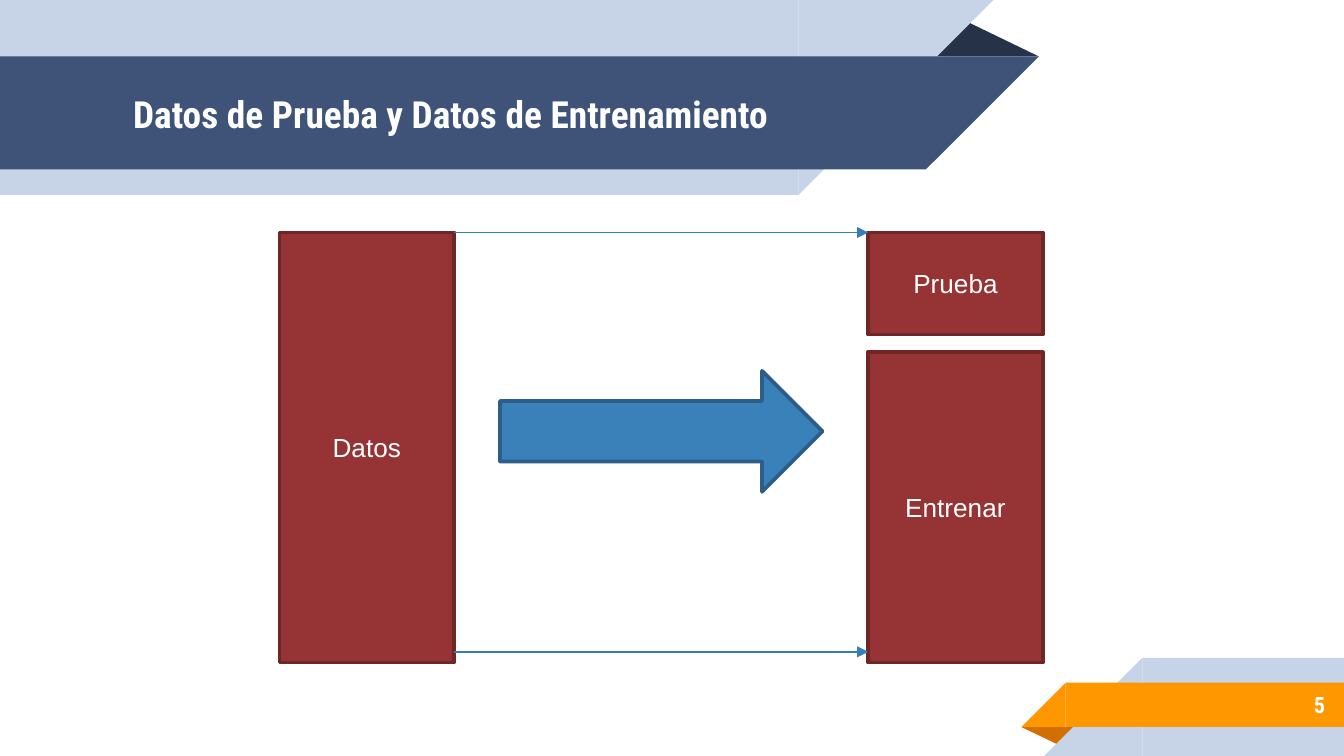
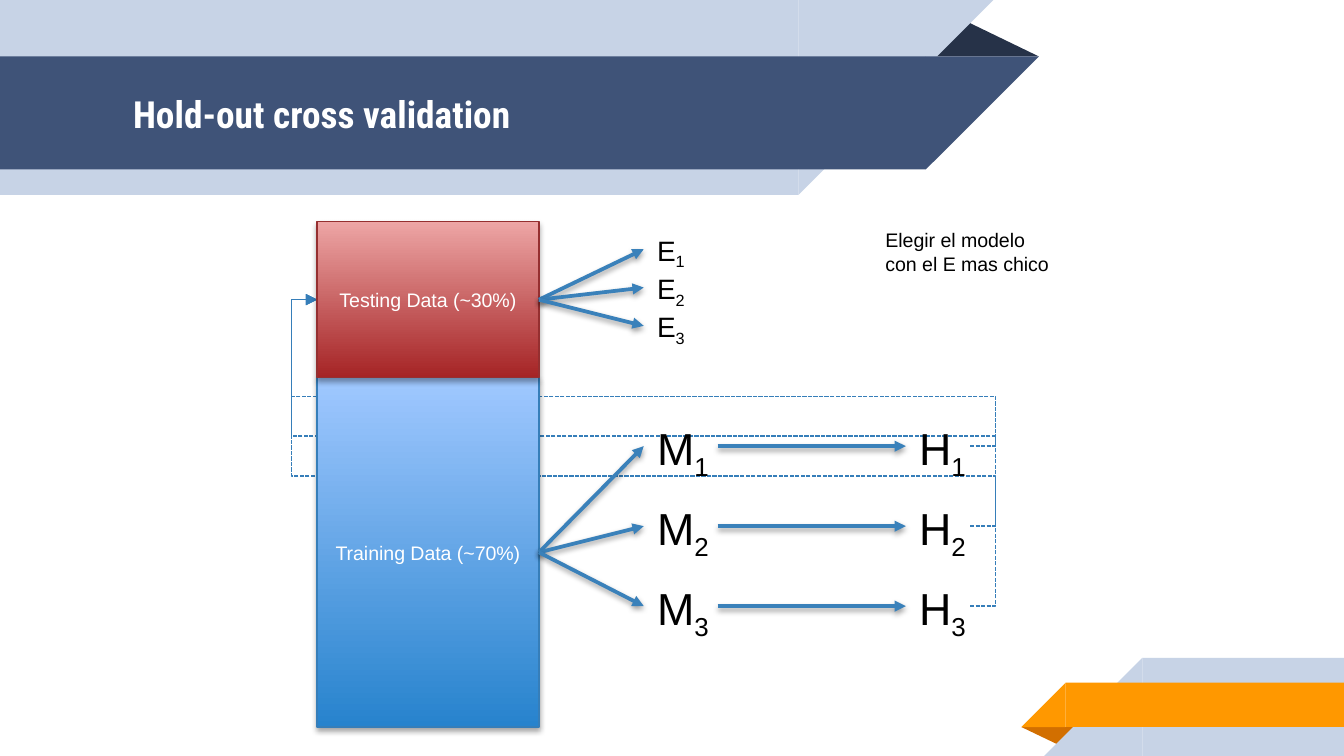
from lxml.etree import SubElement
from pptx import Presentation
from pptx.dml.color import RGBColor
from pptx.enum.dml import MSO_LINE
from pptx.enum.shapes import MSO_CONNECTOR, MSO_SHAPE
from pptx.enum.text import MSO_ANCHOR, MSO_AUTO_SIZE, PP_ALIGN
from pptx.oxml.ns import qn
from pptx.util import Inches, Pt

COLUMNS, ROWS = 100, 56.25
BODY_FONT, TITLE_FONT = "Arial", "Roboto Condensed"
WHITE, BLACK = "FFFFFF", "000000"
PALE, NAVY, DARK_NAVY = "C7D3E6", "3F5378", "263248"
ORANGE, DARK_ORANGE = "FF9800", "D26F00"
RED, DARK_RED = "963334", "6F2626"
BLUE, THIN_BLUE, DARK_BLUE = "3A81BA", "367EB9", "2B5F8A"
LEFT_SIDE, RIGHT_SIDE = 1, 3


def color(value):
    return RGBColor.from_string(value)


class Deck:
    def __init__(self):
        self.presentation = Presentation()
        self.presentation.slide_width = Inches(10)
        self.presentation.slide_height = Inches(10) * 9 // 16
        self.layout = self.presentation.slide_layouts[5]
        self.slide = None

    def x(self, columns):
        return round(self.presentation.slide_width * columns / COLUMNS)

    def y(self, rows):
        return round(self.presentation.slide_height * rows / ROWS)

    def box(self, left, top, width, height):
        return self.x(left), self.y(top), self.x(width), self.y(height)

    def style_text(self, shape, size, ink, align=PP_ALIGN.LEFT, font=BODY_FONT, bold=False):
        for paragraph in shape.text_frame.paragraphs:
            paragraph.alignment = align
            paragraph.font.name = font
            paragraph.font.size = Pt(size)
            paragraph.font.bold = bold
            paragraph.font.color.rgb = color(ink)

    def add_slide(self, title):
        self.slide = self.presentation.slides.add_slide(self.layout)
        placeholder = self.slide.shapes.title
        placeholder.left, placeholder.top, placeholder.width, placeholder.height = self.box(8.9, 4.25, 60.1, 8.4)
        placeholder.text = title
        self.style_banner_text(placeholder, 20, PP_ALIGN.LEFT)

    def style_banner_text(self, shape, size, align):
        frame = shape.text_frame
        frame.margin_left = frame.margin_right = frame.margin_top = frame.margin_bottom = Inches(0.1)
        frame.vertical_anchor = MSO_ANCHOR.MIDDLE
        frame.auto_size = MSO_AUTO_SIZE.NONE
        frame.word_wrap = True
        self.style_text(shape, size, WHITE, align, TITLE_FONT, True)

    def page_number(self, number):
        shape = self.slide.shapes.add_textbox(*self.box(83.3, 50.7, 16.3, 3.5))
        shape.text_frame.text = number
        self.style_banner_text(shape, 12, PP_ALIGN.RIGHT)

    def shape(self, kind, area, fill, line=None, line_width=2, text="", size=14):
        shape = self.slide.shapes.add_shape(kind, *self.box(*area))
        if isinstance(fill, str):
            shape.fill.solid()
            shape.fill.fore_color.rgb = color(fill)
        else:
            shape.fill.gradient()
            shape.fill.gradient_angle = 90
            for stop, value in zip(shape.fill.gradient_stops, fill):
                stop.color.rgb = color(value)
        if line:
            shape.line.color.rgb = color(line)
            shape.line.width = Pt(line_width)
        else:
            shape.line.fill.background()
        shape.shadow.inherit = False
        if text:
            shape.text_frame.text = text
            shape.text_frame.vertical_anchor = MSO_ANCHOR.MIDDLE
            self.style_text(shape, size, WHITE, PP_ALIGN.CENTER)
        return shape

    def layout_band(self, kind, area, fill, rotation=0, flip=False, peak=None):
        shape = self.shape(kind, area, fill)
        shape.rotation = rotation
        if flip:
            shape.element.spPr.xfrm.set("flipH", "1")
        if peak:
            shape.adjustments[0] = peak
        self.layout.shapes.element.append(shape.element)

    def layout_bands(self):
        rectangle, corner, fold = MSO_SHAPE.RECTANGLE, MSO_SHAPE.RIGHT_TRIANGLE, MSO_SHAPE.ISOSCELES_TRIANGLE
        self.layout_band(fold, (68.8, 1.4, 8.5, 2.8), DARK_NAVY, peak=0.32)
        for top, length, height, fill in ((0, 59.4, 14.5, PALE), (4.2, 68.9, 8.4, NAVY)):
            self.layout_band(rectangle, (0, top, length, height), fill)
            self.layout_band(corner, (length, top, height, height), fill, 180, True)
        self.layout_band(fold, (76, 54.1, 4.3, 1.4), DARK_ORANGE, 180, peak=0.32)
        for left, top, height, fill in ((85, 48.95, 7.3, PALE), (79.3, 50.8, 3.3, ORANGE)):
            self.layout_band(rectangle, (left, top, COLUMNS - left, height), fill)
            self.layout_band(corner, (left - height, top, height, height), fill, flip=True)

    def shadow(self, shape, opacity, distance):
        effects = shape.element.spPr.find(qn("a:effectLst"))
        outer = SubElement(effects, qn("a:outerShdw"), blurRad=str(Pt(3.1)), dist=str(Pt(distance)),
                           dir="5400000", rotWithShape="0")
        ink = SubElement(outer, qn("a:srgbClr"), val=BLACK)
        SubElement(ink, qn("a:alpha"), val=str(opacity * 1000))

    def connector(self, start, end, line=THIN_BLUE, width=0.75, kind=MSO_CONNECTOR.STRAIGHT):
        connector = self.slide.shapes.add_connector(
            kind, self.x(start[0]), self.y(start[1]), self.x(end[0]), self.y(end[1]))
        connector.line.color.rgb = color(line)
        connector.line.width = Pt(width)
        properties = connector.element.spPr
        SubElement(properties.get_or_add_ln(), qn("a:tailEnd"), type="triangle")
        SubElement(properties, qn("a:effectLst"))
        return connector

    def bold_arrow(self, start, end, source=None, target=None):
        arrow = self.connector(start, end, BLUE, 2)
        if source is not None:
            arrow.begin_connect(source, RIGHT_SIDE)
        if target is not None:
            arrow.end_connect(target, LEFT_SIDE)
        self.shadow(arrow, 38, 1.6)

    def loop(self, start, end, crossing):
        loop = self.connector(start, end, kind=MSO_CONNECTOR.ELBOW)
        loop.line.dash_style = MSO_LINE.SQUARE_DOT
        geometry = loop.element.spPr.find(qn("a:prstGeom"))
        geometry.set("prst", "bentConnector5")
        guides = geometry.find(qn("a:avLst"))
        if guides is None:
            guides = SubElement(geometry, qn("a:avLst"))
        overshoot = 1.9 / (start[0] - end[0])
        turn = (start[1] - crossing) / (start[1] - end[1])
        for number, share in enumerate((-overshoot, turn, 1 + overshoot), 1):
            SubElement(guides, qn("a:gd"), name=f"adj{number}", fmla=f"val {round(share * 100000)}")
        return loop

    def text(self, area, content, size, subscript="", wrap=False):
        shape = self.slide.shapes.add_textbox(*self.box(*area))
        frame = shape.text_frame
        frame.text = content
        frame.word_wrap = wrap
        frame.auto_size = MSO_AUTO_SIZE.SHAPE_TO_FIT_TEXT
        if subscript:
            run = frame.paragraphs[0].add_run()
            run.text = subscript
            run.font._element.set("baseline", "-25000")
        self.style_text(shape, size, BLACK)
        return shape


def build_data_split(deck):
    deck.add_slide("Datos de Prueba y Datos de Entrenamiento")
    deck.layout_bands()
    deck.page_number("5")
    for label, left, top, height in (("Datos", 20.8, 17.3, 32), ("Prueba", 64.6, 17.3, 7.6),
                                     ("Entrenar", 64.6, 26.2, 23.1)):
        deck.shape(MSO_SHAPE.RECTANGLE, (left, top, 13, height), RED, DARK_RED, text=label)
    for level in (17.3, 48.5):
        deck.connector((33.8, level), (64.6, level))
    deck.shape(MSO_SHAPE.RIGHT_ARROW, (37.2, 27.6, 24, 9), BLUE, DARK_BLUE)


def build_hold_out(deck):
    deck.add_slide("Hold-out cross validation")
    data_left, data_width, data_right, label_left = 23.6, 16.5, 40.1, 47.9
    testing_middle, training_middle = 22.3, 41.1
    model_levels = [33.2 + 5.95 * index for index in range(3)]
    error_levels = [18.55 + 2.85 * index for index in range(3)]
    loops = [deck.loop((72.2, level), (data_left, testing_middle), 29.5 + 2.95 * index)
             for index, level in enumerate(model_levels)]
    training, testing = [
        deck.shape(MSO_SHAPE.RECTANGLE, (data_left, top, data_width, height), fill, line, 0.75, label, 10.5)
        for label, top, height, fill, line in (
            ("Training Data (~70%)", 28.1, 26, ("2783CD", "A0C8FF"), THIN_BLUE),
            ("Testing Data (~30%)", 16.5, 11.6, ("A52425", "EDA5A5"), "952F30"))]
    for data in (training, testing):
        deck.shadow(data, 35, 1.8)
    for loop in loops:
        loop.end_connect(testing, LEFT_SIDE)
    for number, (model_level, error_level) in enumerate(zip(model_levels, error_levels), 1):
        model = deck.text((label_left, model_level - 2.4, 6.1, 4.8), "M", 24, str(number))
        hypothesis = deck.text((67.4, model_level - 2.4, 5.7, 4.8), "H", 24, str(number))
        error = deck.text((label_left, error_level - 1.7, 4.2, 3.4), "E", 15, str(number))
        deck.bold_arrow((data_right, training_middle), (label_left, model_level), training, model)
        deck.bold_arrow((53.4, model_level), (67.4, model_level), target=hypothesis)
        deck.bold_arrow((data_right, testing_middle), (label_left, error_level), testing, error)
    deck.text((64.9, 16.5, 14.7, 4.5), "Elegir el modelo con el E mas chico", 10.5, wrap=True)


def main():
    deck = Deck()
    build_data_split(deck)
    build_hold_out(deck)
    deck.presentation.save("out.pptx")


if __name__ == "__main__":
    main()
